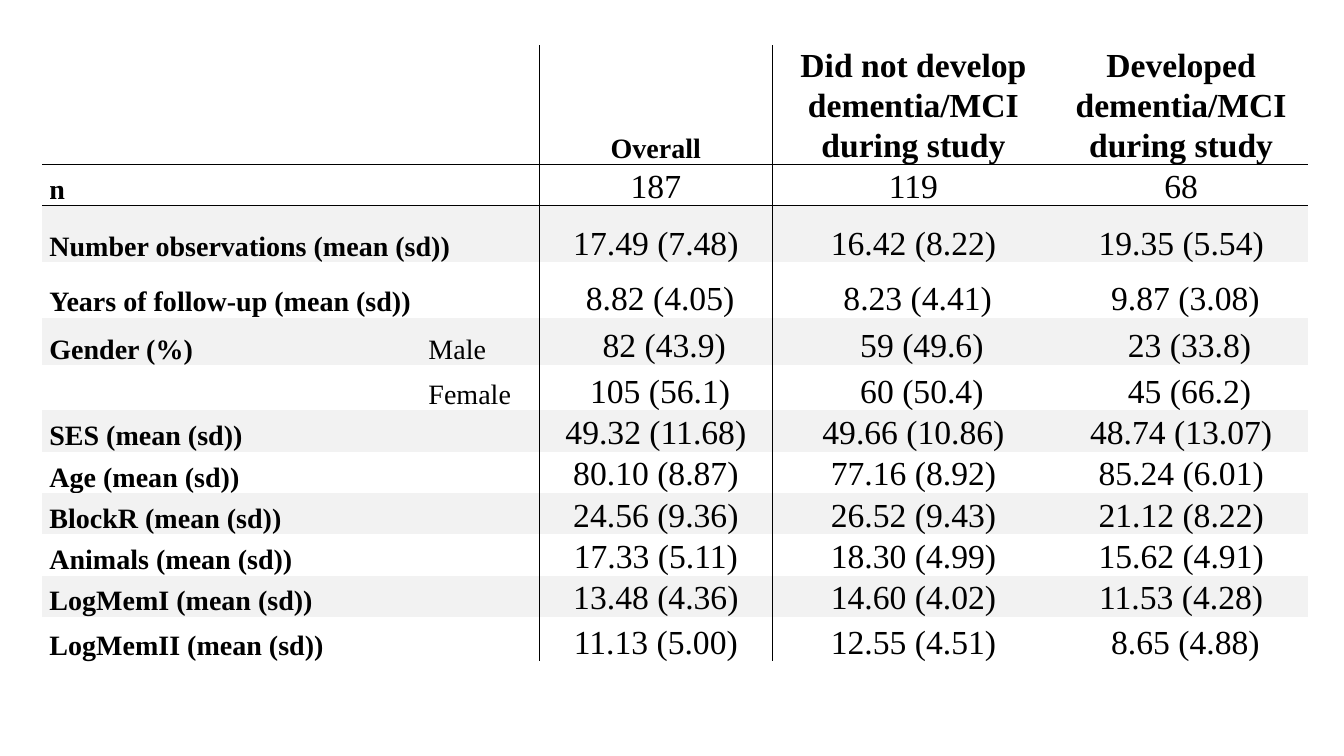
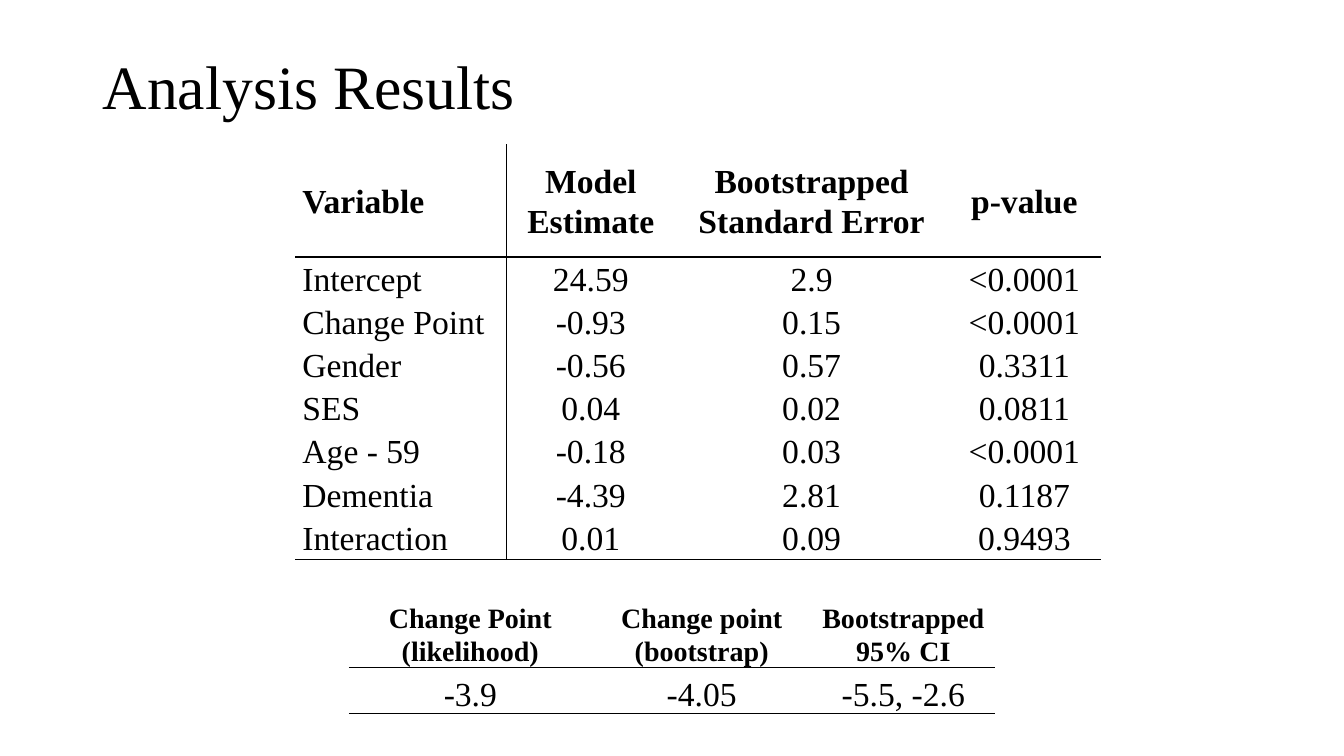
from lxml import etree
from pptx import Presentation
from pptx import util as u
from pptx.dml import color
from pptx.enum import text
from pptx.oxml import ns

PX = 9144  # EMU per px, 100 px to the inch
FONT = "Times New Roman"
COLORS = {"ink": "000000", "band": "F2F2F2"}
TITLE_SIZE, LARGE, SMALL = 44, 24, 20
SIDES = ("L", "R", "T", "B")
LEFT, CENTER = text.PP_ALIGN.LEFT, text.PP_ALIGN.CENTER
MIDDLE, BOTTOM = text.MSO_ANCHOR.MIDDLE, text.MSO_ANCHOR.BOTTOM

COHORT_ROWS = [
    ["", "", "", "Overall", "Did not develop dementia/MCI during study",
     "Developed dementia/MCI during study"],
    ["n", "", "", "187", "119", "68"],
    ["Number observations (mean (sd))", "", "", "17.49 (7.48)", "16.42 (8.22)", "19.35 (5.54)"],
    ["Years of follow-up (mean (sd))", "", "", "8.82 (4.05)", "8.23 (4.41)", "9.87 (3.08)"],
    ["Gender (%)", "", "Male", "82 (43.9)", "59 (49.6)", "23 (33.8)"],
    ["", "", "Female", "105 (56.1)", "60 (50.4)", "45 (66.2)"],
    ["SES (mean (sd))", "", "", "49.32 (11.68)", "49.66 (10.86)", "48.74 (13.07)"],
    ["Age (mean (sd))", "", "", "80.10 (8.87)", "77.16 (8.92)", "85.24 (6.01)"],
    ["BlockR (mean (sd))", "", "", "24.56 (9.36)", "26.52 (9.43)", "21.12 (8.22)"],
    ["Animals (mean (sd))", "", "", "17.33 (5.11)", "18.30 (4.99)", "15.62 (4.91)"],
    ["LogMemI (mean (sd))", "", "", "13.48 (4.36)", "14.60 (4.02)", "11.53 (4.28)"],
    ["LogMemII (mean (sd))", "", "", "11.13 (5.00)", "12.55 (4.51)", "8.65 (4.88)"],
]
MODEL_ROWS = [
    ["Variable", "Model Estimate", "Bootstrapped Standard Error", "p-value"],
    ["Intercept", "24.59", "2.9", "<0.0001"],
    ["Change Point", "-0.93", "0.15", "<0.0001"],
    ["Gender", "-0.56", "0.57", "0.3311"],
    ["SES", "0.04", "0.02", "0.0811"],
    ["Age - 59", "-0.18", "0.03", "<0.0001"],
    ["Dementia", "-4.39", "2.81", "0.1187"],
    ["Interaction", "0.01", "0.09", "0.9493"],
]
CHANGE_POINT_ROWS = [
    ["Change Point (likelihood)", "Change point (bootstrap)", "Bootstrapped 95% CI"],
    ["-3.9", "-4.05", "-5.5, -2.6"],
]
# Points of left indent, by text length, that line up the shorter figures
FIGURE_INDENTS = {9: 12, 10: 6, 11: 6}


def px(length):
    return u.Emu(length * PX)


def rgb(name):
    return color.RGBColor.from_string(COLORS[name])


def style_text(frame, size, bold=False, align=LEFT, spacing=1.07):
    paragraph = frame.paragraphs[0]
    paragraph.alignment = align
    paragraph.line_spacing = spacing
    for run in paragraph.runs:
        run.font.name = FONT
        run.font.size = u.Pt(size)
        run.font.bold = bold
        run.font.color.rgb = rgb("ink")


def add_title(slide, title):
    box = slide.shapes.add_textbox(px(92), px(16), px(1150), px(145))
    box.text_frame.word_wrap = True
    box.text_frame.vertical_anchor = MIDDLE
    box.text_frame.text = title
    style_text(box.text_frame, TITLE_SIZE, spacing=0.9)


def set_borders(cell, ruled_sides):
    """Rule the named sides of a cell and clear the others."""
    properties = cell._tc.get_or_add_tcPr()
    for side in SIDES:
        line = etree.SubElement(properties, ns.qn(f"a:ln{side}"), w=str(u.Pt(1)))
        if side in ruled_sides:
            fill = etree.SubElement(line, ns.qn("a:solidFill"))
            etree.SubElement(fill, ns.qn("a:srgbClr"), val=COLORS["ink"])
        else:
            etree.SubElement(line, ns.qn("a:noFill"))


def add_table(slide, left, top, widths, heights, rows, anchor, row_rules, column_rules=()):
    """Add a plain table, ruled below row_rules and right of column_rules."""
    table = slide.shapes.add_table(len(rows), len(widths), px(left), px(top),
                                   px(sum(widths)), px(sum(heights))).table
    table.first_row = table.horz_banding = False
    for column, width in zip(table.columns, widths):
        column.width = px(width)
    for row, height in zip(table.rows, heights):
        row.height = px(height)
    for r, values in enumerate(rows):
        for c, value in enumerate(values):
            cell = table.cell(r, c)
            cell.margin_left = cell.margin_right = px(7)
            cell.margin_top = cell.margin_bottom = 0
            cell.vertical_anchor = anchor
            ruled = {"L": c - 1 in column_rules, "R": c in column_rules,
                     "T": r - 1 in row_rules, "B": r in row_rules}
            set_borders(cell, [side for side in SIDES if ruled[side]])
            cell.fill.background()
            cell.text_frame.text = value
    return table


def style_cells(table, style_of):
    """Format each cell's text with the arguments style_of(row, column) gives."""
    for r in range(len(table.rows)):
        for c in range(len(table.columns)):
            style_text(table.cell(r, c).text_frame, **style_of(r, c))


def cohort_style(r, c):
    if c < 3:
        return {"size": SMALL, "bold": c == 0}
    return {"size": SMALL if (r, c) == (0, 3) else LARGE, "bold": r == 0, "align": CENTER}


def model_style(r, c):
    return {"size": LARGE, "bold": r == 0, "align": CENTER if c else LEFT}


def change_point_style(r, c):
    return {"size": LARGE if r else SMALL, "bold": r == 0, "align": CENTER}


def add_cohort_slide(slide):
    table = add_table(slide, 42, 45, [263, 113, 117, 231, 280, 251],
                      [118, 41, 56, 55, 47, 45, 41, 41, 41, 41, 41, 44],
                      COHORT_ROWS, BOTTOM, row_rules=(0, 1), column_rules=(2, 3))
    style_cells(table, cohort_style)
    for r, values in enumerate(COHORT_ROWS):
        for c, value in enumerate(values):
            cell = table.cell(r, c)
            if r >= 2 and r % 2 == 0:
                cell.fill.solid()
                cell.fill.fore_color.rgb = rgb("band")
            if r >= 2 and c >= 3 and len(value) in FIGURE_INDENTS:
                indent = u.Pt(FIGURE_INDENTS[len(value)])
                cell.text_frame.paragraphs[0]._p.get_or_add_pPr().set("marL", str(indent))
        first, last = (1, 2) if r < 2 else (0, 2) if r < 4 else (0, 1)
        table.cell(r, first).merge(table.cell(r, last))


def add_results_slide(slide):
    add_title(slide, "Analysis Results")
    model = add_table(slide, 293, 143, [209, 168, 270, 152], [112] + [39] * 7,
                      MODEL_ROWS, MIDDLE, row_rules=(0, 7), column_rules=(0,))
    style_cells(model, model_style)
    change_point = add_table(slide, 346, 573, [241, 218, 182], [89, 46],
                             CHANGE_POINT_ROWS, BOTTOM, row_rules=(0, 1))
    style_cells(change_point, change_point_style)


def main():
    presentation = Presentation()
    presentation.slide_width, presentation.slide_height = px(1333), px(750)
    blank = presentation.slide_layouts[6]
    for build in (add_cohort_slide, add_results_slide):
        build(presentation.slides.add_slide(blank))
    presentation.save("out.pptx")


if __name__ == "__main__":
    main()
